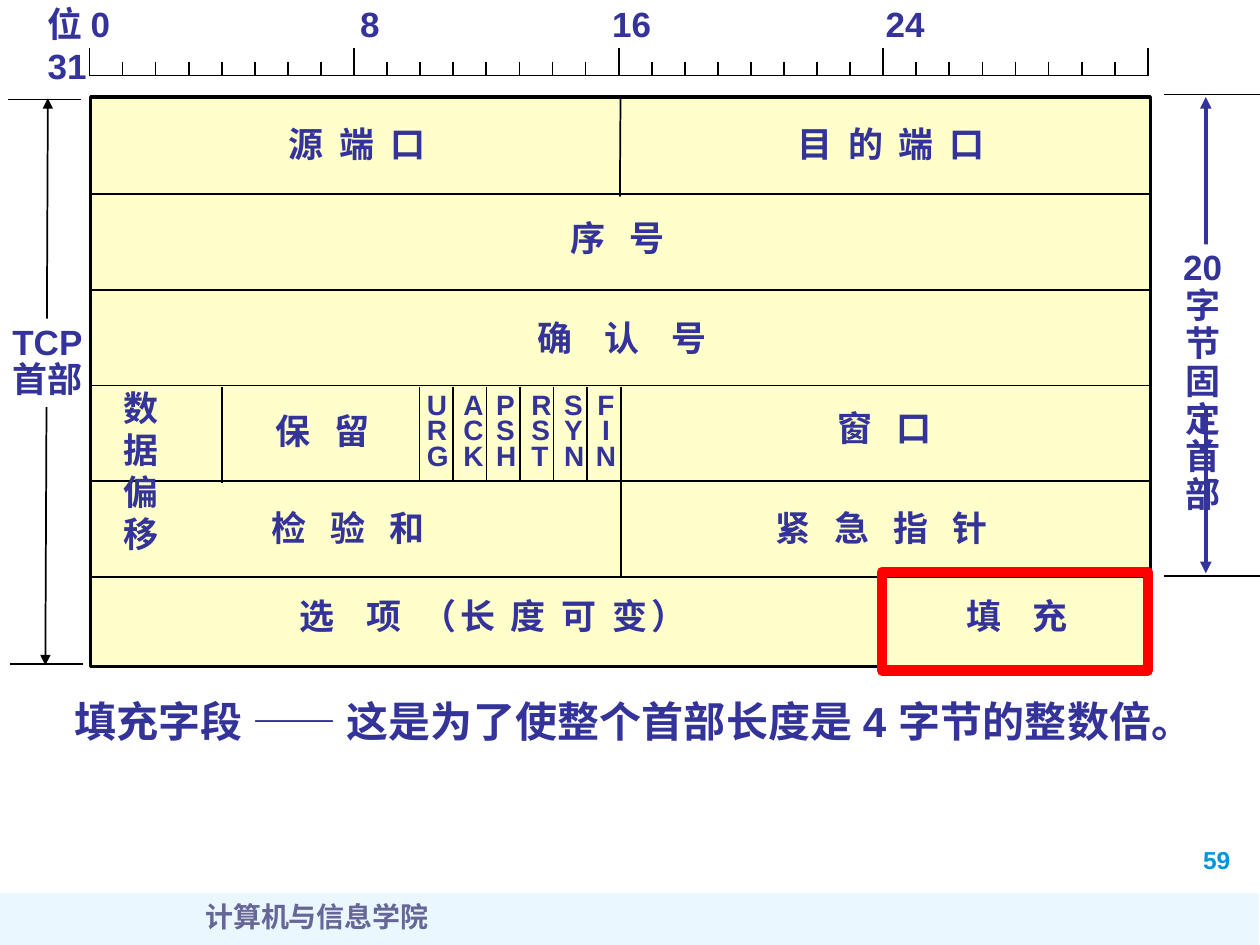
import pptx
import pptx.util
import pptx.dml.color
import pptx.enum.shapes
import pptx.enum.text
import pptx.oxml.ns
from lxml import etree
from pptx.util import Inches

COLORS = {
    "ink": "333399", "black": "000000", "white": "FFFFFF", "field": "FFFFCC",
    "highlight": "FF0000", "band": "EBF7FF", "page": "0094DE", "school": "666699",
}
ALIGN = pptx.enum.text.PP_ALIGN
RECTANGLE = pptx.enum.shapes.MSO_SHAPE.RECTANGLE
rgb = {name: pptx.dml.color.RGBColor.from_string(code) for name, code in COLORS.items()}
qn = pptx.oxml.ns.qn

deck = pptx.Presentation()
deck.slide_width, deck.slide_height = Inches(10), Inches(7.5)
slide = deck.slides.add_slide(deck.slide_layouts[6])


def add_line(x1, y1, x2, y2, color="black", width=1, arrows=False):
    line = slide.shapes.add_connector(
        pptx.enum.shapes.MSO_CONNECTOR.STRAIGHT, Inches(x1), Inches(y1), Inches(x2), Inches(y2))
    line.line.color.rgb = rgb[color]
    line.line.width = pptx.util.Pt(width)
    if arrows:
        for end in ("a:headEnd", "a:tailEnd"):
            etree.SubElement(line.line._get_or_add_ln(), qn(end), type="triangle")
    etree.SubElement(line._element.spPr, qn("a:effectLst"))
    return line


def add_text(text, left, top, width, height, size=20, color="ink", align=ALIGN.LEFT,
             spacing=None, font="Arial", fill=None):
    box = slide.shapes.add_textbox(Inches(left), Inches(top), Inches(width), Inches(height))
    if fill:
        box.fill.solid()
        box.fill.fore_color.rgb = rgb[fill]
    box.text_frame.word_wrap = True
    box.text_frame.text = text
    for paragraph in box.text_frame.paragraphs:
        paragraph.alignment = align
        paragraph.line_spacing = spacing
        paragraph.font.name = font
        paragraph.font.size = pptx.util.Pt(size)
        paragraph.font.bold = True
        paragraph.font.color.rgb = rgb[color]
    return box.text_frame


# Footer band, school name and page number
band = slide.shapes.add_shape(RECTANGLE, Inches(-0.01), Inches(7.09), Inches(10), Inches(0.44))
band.shadow.inherit = False
band.fill.solid()
band.fill.fore_color.rgb = rgb["band"]
band.line.fill.background()
add_text("59", 9.45, 6.66, 0.59, 0.33, size=14, color="page")
add_text("计算机与信息学院", 0.27, 7.09, 4.49, 0.5, size=16, color="school",
         align=ALIGN.CENTER, font="Times New Roman")

# Height markers on both sides
add_line(0.38, 0.78, 0.36, 5.28, arrows=True)
add_text("TCP\n首部", 0, 2.53, 0.76, 0.7, spacing=0.9, fill="white")
add_line(9.57, 0.77, 9.57, 4.55, color="ink", width=2.25, arrows=True)
add_text("20\n字节\n固定\n首部", 9.17, 1.94, 0.75, 1.3, align=ALIGN.CENTER,
         spacing=0.9, fill="white")
for x1, x2, y in [(9.24, 10.15, 0.75), (9.24, 10.15, 4.57), (0.06, 0.64, 0.79), (0.08, 0.66, 5.27)]:
    add_line(x1, y, x2, y)

# Header block with its row and column dividers
header = slide.shapes.add_shape(RECTANGLE, Inches(0.72), Inches(0.77), Inches(8.41), Inches(4.52))
header.shadow.inherit = False
header.fill.solid()
header.fill.fore_color.rgb = rgb["field"]
header.line.color.rgb = rgb["black"]
header.line.width = pptx.util.Pt(2)
for row in range(5):
    y = 1.54 + 0.76 * row
    add_line(0.72, y, 9.13, y)
port_divider = add_line(4.92, 0.77, 4.92, 1.56)
port_divider.begin_connect(header, 0)
add_line(4.93, 3.07, 4.93, 4.57)
add_line(1.76, 3.07, 1.76, 3.83)
add_line(7.01, 4.6, 7.01, 5.3)
for flag in range(6):
    x = 3.33 + 0.266 * flag
    add_line(x, 3.07, x, 3.82)

# Field names, spread by extra character spacing in points
fields = [
    ([("源 端 口", 2.25)], 2.19, 0.92, 1.34),
    ([("目 的 端 口", 2.25)], 6.23, 0.92, 1.77),
    ([("序 号", 4.5)], 4.43, 1.67, 1.51),
    ([("确 认 号", 6.75)], 4.17, 2.46, 2.01),
    ([("保 留", 4.5)], 2.09, 3.2, 0.98),
    ([("窗 口", 4.5)], 6.55, 3.18, 0.98),
    ([("检 验 和", 4.5)], 2.06, 3.97, 1.49),
    ([("紧 急 指 针", 4.5)], 6.06, 3.97, 2),
    ([("选 项 ", 6.75), ("（长 度 可 变）", 2.25)], 2.28, 4.67, 3.5),
    ([("填 充", 6.75)], 7.57, 4.67, 1.37),
]
for parts, left, top, width in fields:
    label = add_text("", left, top, width, 0.43).paragraphs[0]
    for text, gap in parts:
        spread, last = label.add_run(), label.add_run()
        spread.text, last.text = text[:-1], text[-1]
        spread._r.get_or_add_rPr().set("spc", str(int(gap * 100)))
add_text("数据\n偏移", 0.88, 3.02, 0.75, 0.76)

# Flag bits, one letter a line
flags = [("URG", 3.29), ("ACK", 3.58), ("PSH", 3.84), ("RST", 4.12), ("SYN", 4.38), ("FIN", 4.63)]
for flag, left in flags:
    add_text("\n".join(flag), left, 3.09, 0.36, 0.7, size=16, spacing=0.75,
             align=ALIGN.CENTER if flag == "FIN" else ALIGN.LEFT)

# Bit ruler: 32 steps with a longer tick at each byte
add_line(0.71, 0.6, 9.11, 0.6)
for bit in range(33):
    x = 0.71 + 8.4 / 32 * bit
    add_line(x, 0.49 if bit % 8 else 0.38, x, 0.6)
scale = add_text("位 0\t8\t16\t24\n31", 0.28, -0.03, 8.89, 0.43).paragraphs[0]
tab_list = etree.SubElement(scale._p.get_or_add_pPr(), qn("a:tabLst"))
scale._p.pPr.find(qn("a:defRPr")).addprevious(tab_list)
for stop in (2.48, 4.48, 6.65):
    etree.SubElement(tab_list, qn("a:tab"), pos=str(Inches(stop)), algn="l")

# Highlighted padding field and its explanation
padding = slide.shapes.add_shape(RECTANGLE, Inches(7), Inches(4.54), Inches(2.11), Inches(0.78))
padding.shadow.inherit = False
padding.fill.background()
padding.line.color.rgb = rgb["highlight"]
padding.line.width = pptx.util.Pt(6)
add_text("填充字段 —— 这是为了使整个首部长度是 4 字节的整数倍。 ", 0.49, 5.47, 9.08, 1.03,
         size=24, align=ALIGN.JUSTIFY)

deck.save("out.pptx")
